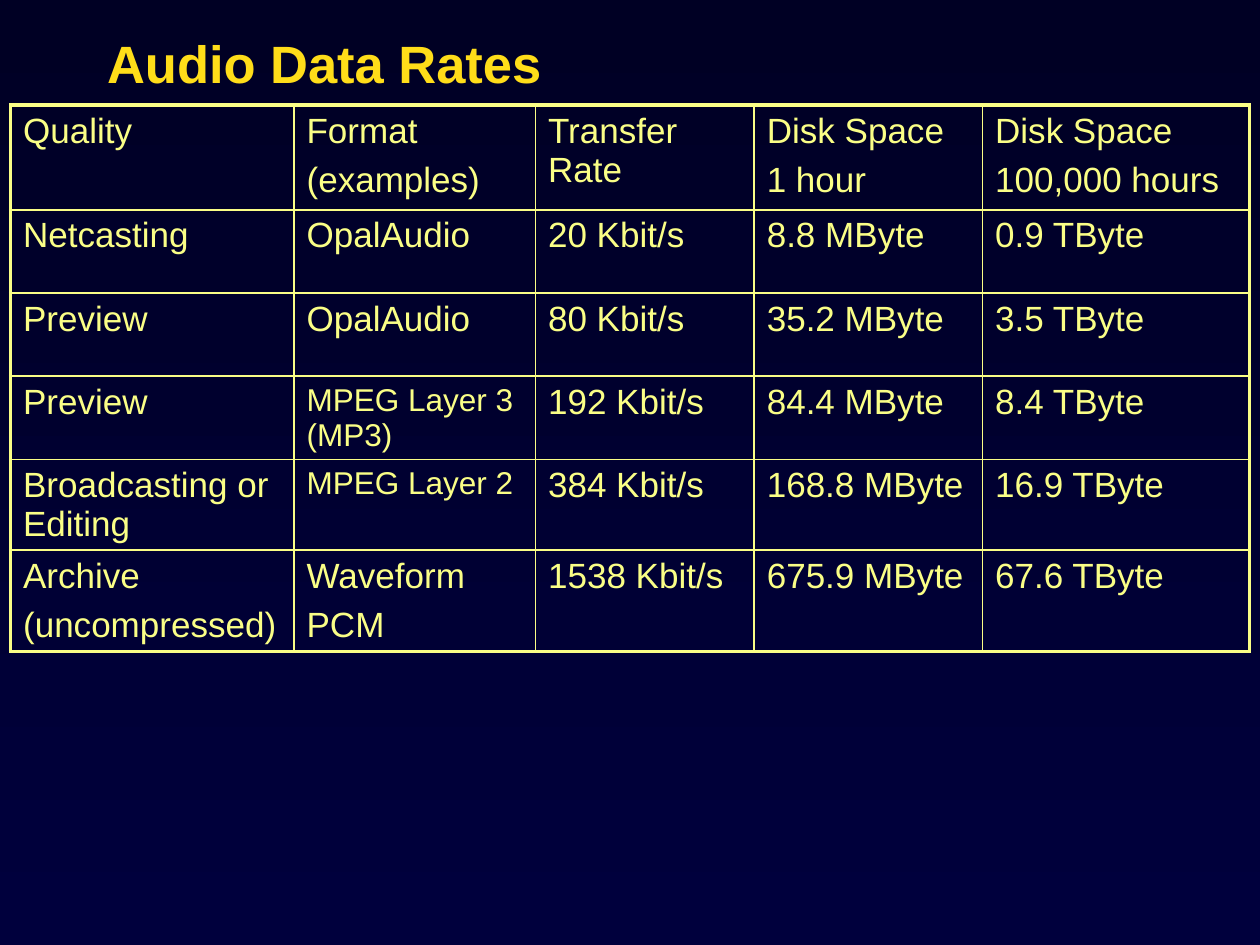
from dataclasses import dataclass
from lxml.etree import SubElement as Sub
from pptx import Presentation
from pptx.dml.color import RGBColor as RGB
from pptx.enum.text import MSO_ANCHOR as Anchor, PP_ALIGN as Align
from pptx.oxml.ns import qn
from pptx.util import Pt


@dataclass(frozen=True)
class Theme:
    font: str = "Arial"
    top: str = "000024"
    base: str = "00003D"
    gold: str = "FFDD19"
    pale: str = "FAFE86"
    head: int = 30
    body: int = 20
    small: int = 18
    gap: int = 3
    thin: float = 1
    thick: float = 2.25


class Deck:
    def __init__(self, theme):
        self.theme = theme
        self.prs = Presentation()
        self.prs.slide_width, self.prs.slide_height = Pt(720), Pt(540)
        self.slide = None

    def page(self):
        self.slide = self.prs.slides.add_slide(self.prs.slide_layouts[5])
        fill = self.slide.background.fill
        fill.gradient()
        fill.gradient_angle = 270
        for stop, tint in zip(fill.gradient_stops, (self.theme.top, self.theme.base)):
            stop.color.rgb = RGB.from_string(tint)

    def style(self, para, size, tint, bold=False):
        para.alignment = Align.LEFT
        font = para.font
        font.name, font.size, font.bold = self.theme.font, Pt(size), bold
        font.color.rgb = RGB.from_string(tint)

    def title(self, text, left, top, width, height):
        shape = self.slide.shapes.title
        shape.left, shape.top = Pt(left), Pt(top)
        shape.width, shape.height = Pt(width), Pt(height)
        frame = shape.text_frame
        frame.text = text
        frame.vertical_anchor = Anchor.MIDDLE
        self.style(frame.paragraphs[0], self.theme.head, self.theme.gold, True)

    def edge(self, cell, side, width):
        line = Sub(cell._tc.get_or_add_tcPr(), qn(f"a:ln{side}"), w=str(Pt(width)))
        Sub(Sub(line, qn("a:solidFill")), qn("a:srgbClr"), val=self.theme.pale)

    def cell(self, cell, text, outer):
        for side, rim in zip("LRTB", outer):
            self.edge(cell, side, self.theme.thick if rim else self.theme.thin)
        cell.fill.background()
        cell.text = text
        size = self.theme.small if text.startswith("MPEG") else self.theme.body
        for para in cell.text_frame.paragraphs:
            self.style(para, size, self.theme.pale)
            para.space_before = para.space_after = Pt(self.theme.gap)

    def table(self, data, left, top, cols, rows):
        table = self.slide.shapes.add_table(
            len(rows), len(cols), Pt(left), Pt(top), Pt(sum(cols)), Pt(sum(rows))
        ).table
        table.first_row = table.horz_banding = False
        for col, width in zip(table.columns, cols):
            col.width = Pt(width)
        for row, height in zip(table.rows, rows):
            row.height = Pt(height)
        for r, line in enumerate(data):
            for c, text in enumerate(line):
                outer = (c == 0, c == len(cols) - 1, r == 0, r == len(rows) - 1)
                self.cell(table.cell(r, c), text, outer)

    def save(self):
        self.prs.save("out.pptx")


RATES = [
    ("Quality", "Format\n(examples)", "Transfer Rate",
     "Disk Space\n1 hour", "Disk Space\n100,000 hours"),
    ("Netcasting", "OpalAudio", "20 Kbit/s", "8.8 MByte", "0.9 TByte"),
    ("Preview", "OpalAudio", "80 Kbit/s", "35.2 MByte", "3.5 TByte"),
    ("Preview", "MPEG Layer 3 (MP3)", "192 Kbit/s", "84.4 MByte", "8.4 TByte"),
    ("Broadcasting or Editing", "MPEG Layer 2", "384 Kbit/s",
     "168.8 MByte", "16.9 TByte"),
    ("Archive\n(uncompressed)", "Waveform\nPCM", "1538 Kbit/s",
     "675.9 MByte", "67.6 TByte"),
]


def main():
    deck = Deck(Theme())
    deck.page()
    deck.title("Audio Data Rates", 54, 0, 612, 72)
    deck.table(RATES, 6, 60, (162, 138, 125, 130.5, 152.5), [60] + [47.5] * 5)
    deck.save()


if __name__ == "__main__":
    main()
